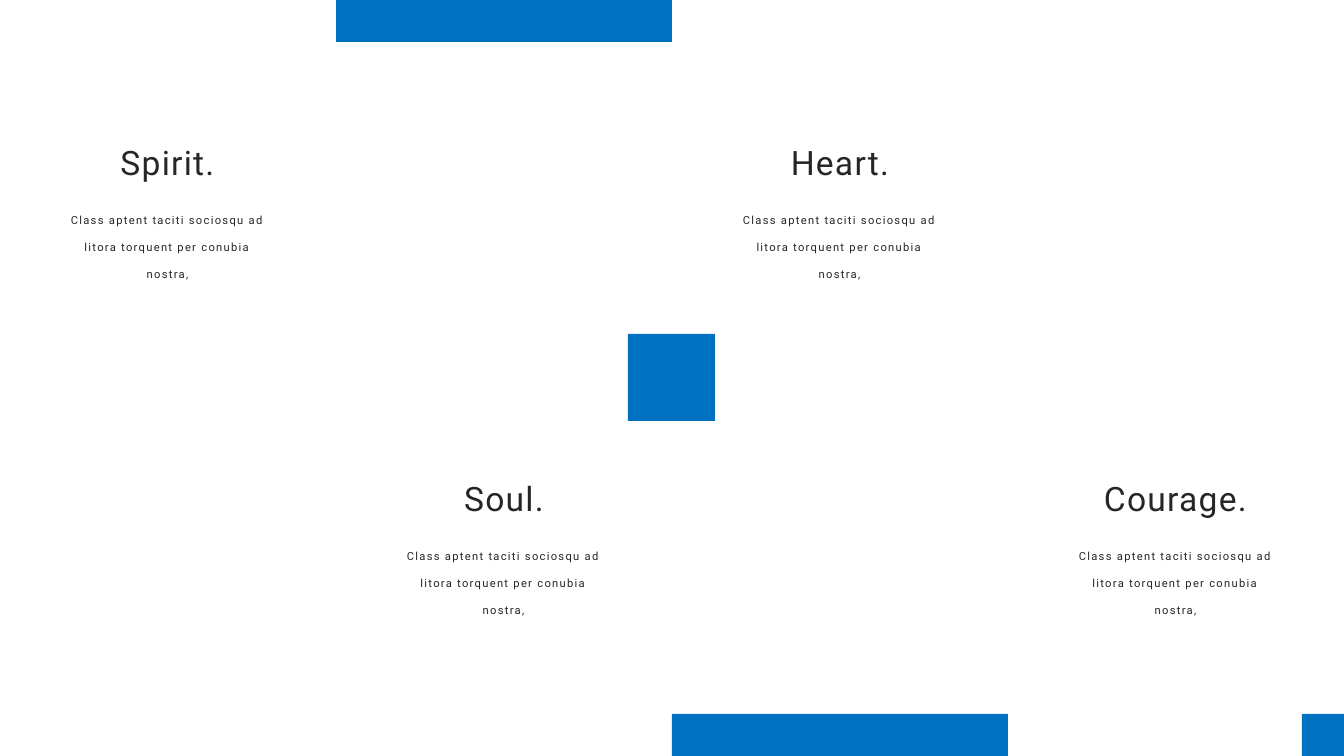
"""Build a slide of four captioned columns with blue accent blocks."""
from pptx import Presentation
from pptx.dml.color import RGBColor
from pptx.enum.shapes import MSO_SHAPE
from pptx.enum.text import MSO_AUTO_SIZE, PP_ALIGN
from pptx.util import Emu, Pt

BLUE = RGBColor(0x00, 0x70, 0xC0)
INK = RGBColor(0x26, 0x26, 0x26)
WHITE = RGBColor(0xFF, 0xFF, 0xFF)
WIDTH, HEIGHT = 1344, 756
COLUMN = WIDTH // 4
ROW = 336
BAR = 42
BODY = "Class aptent taciti sociosqu ad litora torquent per conubia nostra,"
CAPTIONS = [
    ("Spirit.", 127, 0, 0),
    ("Heart.", 130, 2, 0),
    ("Courage.", 177, 3, 1),
    ("Soul.", 104, 1, 1),
]


def px(n):
    """Convert whole pixels to EMU."""
    return Emu(round(n * 12192000 / WIDTH))


def add_block(slide, x, y, w, h):
    """Draw a plain blue rectangle."""
    sp = slide.shapes.add_shape(MSO_SHAPE.RECTANGLE, px(x), px(y), px(w), px(h))
    sp.shadow.inherit = False
    sp.fill.solid()
    sp.fill.fore_color.rgb = BLUE
    sp.line.fill.background()


def add_text(slide, text, x, y, w, h, size=8, wrap=True, spacing=None):
    """Add a centred, letter-spaced text box."""
    sp = slide.shapes.add_textbox(px(x), px(y), px(w), px(h))
    tf = sp.text_frame
    tf.word_wrap = wrap
    tf.auto_size = MSO_AUTO_SIZE.SHAPE_TO_FIT_TEXT
    p = tf.paragraphs[0]
    p.alignment = PP_ALIGN.CENTER
    p.line_spacing = spacing
    r = p.add_run()
    r.text = text
    r.font.name = "Roboto"
    r.font.size = Pt(size)
    r.font.color.rgb = INK
    r._r.get_or_add_rPr().set("spc", "90")


def add_caption(slide, title, width, column, row):
    """Add a title and its body text in one grid cell."""
    x, y = column * COLUMN, row * ROW
    add_text(slide, BODY, x + 57, y + 195, 221, 89, spacing=2.0)
    add_text(slide, title, x + (COLUMN - width) // 2, y + 137, width, 50,
             size=24, wrap=False)


def main():
    """Build and save the slide."""
    prs = Presentation()
    prs.slide_width, prs.slide_height = px(WIDTH), px(HEIGHT)
    slide = prs.slides.add_slide(prs.slide_layouts[6])
    slide.background.fill.solid()
    slide.background.fill.fore_color.rgb = WHITE
    add_block(slide, WIDTH - BAR, HEIGHT - BAR, BAR, BAR)
    add_block(slide, 628, 334, 87, 87)
    for caption in CAPTIONS:
        add_caption(slide, *caption)
    add_block(slide, 2 * COLUMN, HEIGHT - BAR, COLUMN, BAR)
    add_block(slide, COLUMN, 0, COLUMN, BAR)
    prs.save("out.pptx")


if __name__ == "__main__":
    main()
